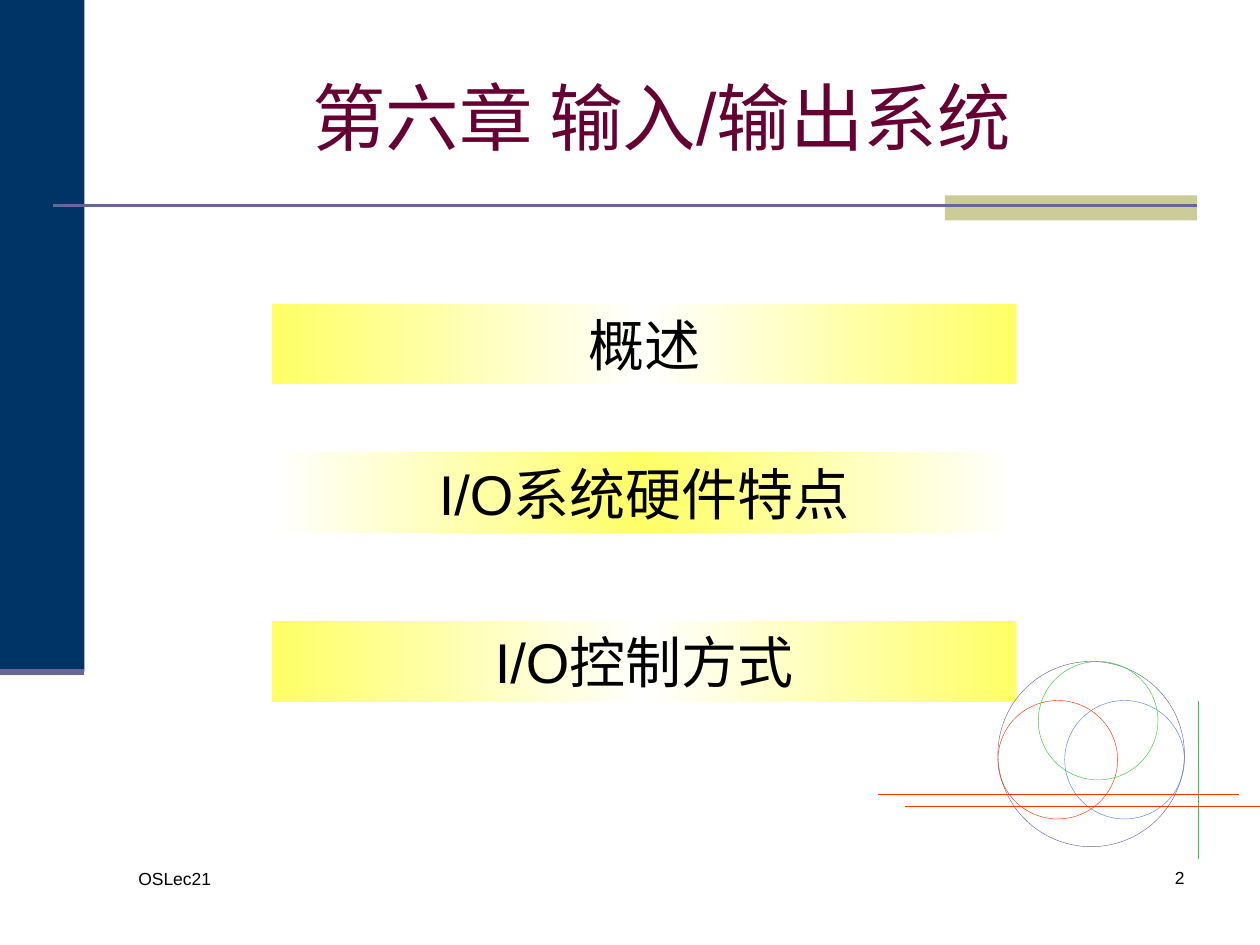
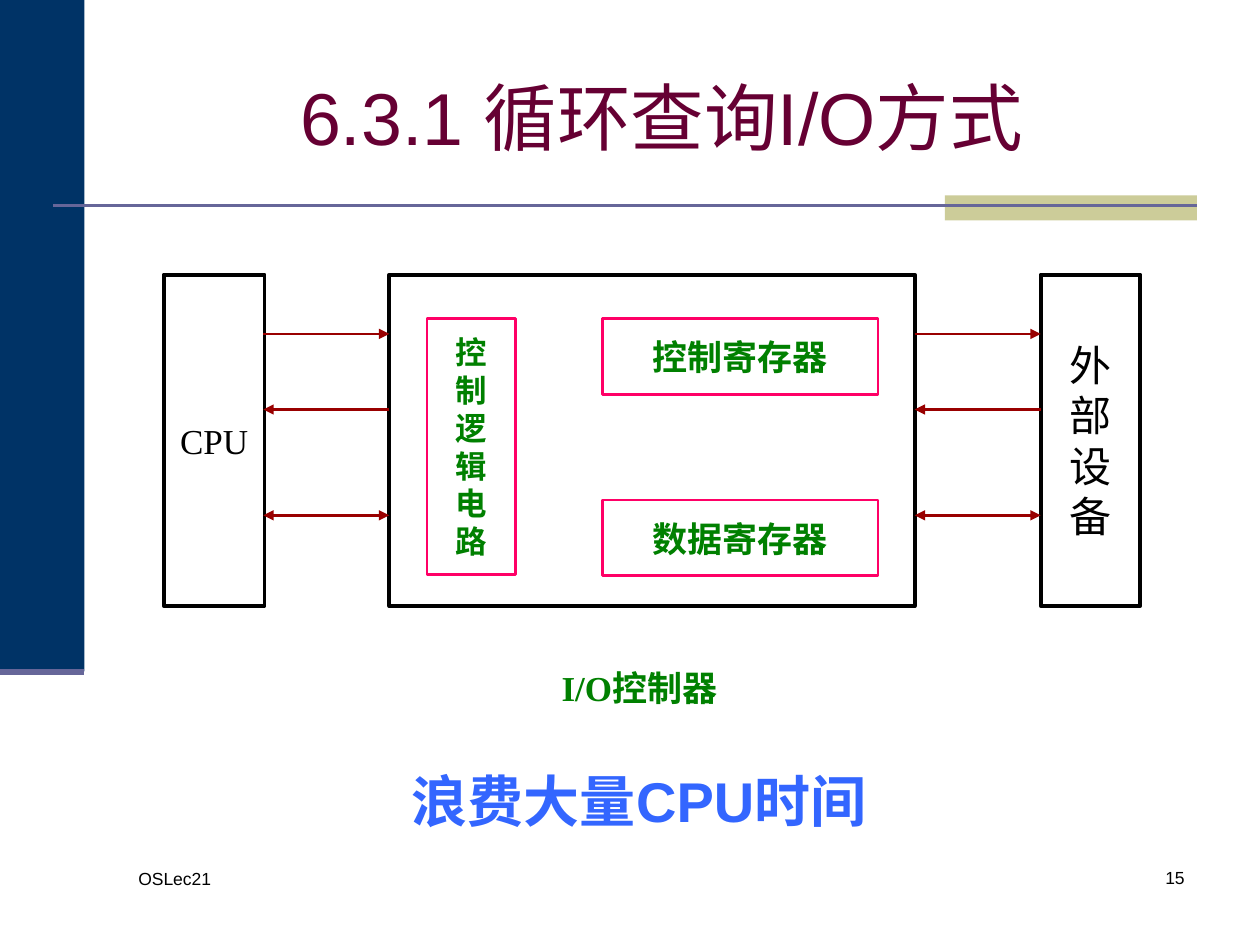
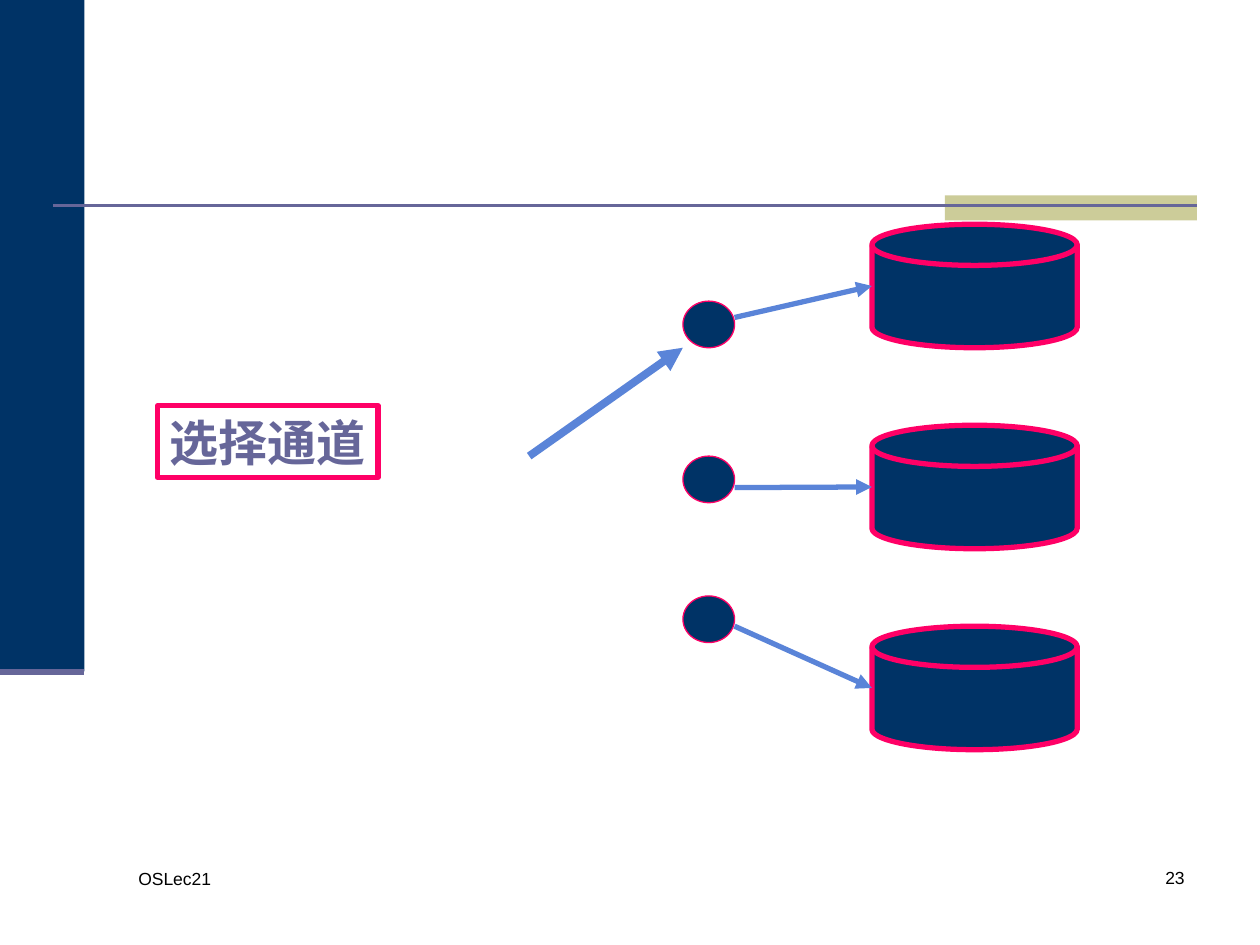
from copy import deepcopy
from lxml.etree import SubElement
from pptx import Presentation
from pptx.dml.color import RGBColor
from pptx.enum.dml import MSO_LINE
from pptx.enum.shapes import MSO_CONNECTOR, MSO_SHAPE
from pptx.enum.text import MSO_ANCHOR, PP_ALIGN
from pptx.oxml.ns import qn
from pptx.util import Inches, Pt

NAVY = RGBColor(0x00, 0x33, 0x66)
SLATE = RGBColor(0x66, 0x66, 0x99)
SAND = RGBColor(0xCC, 0xCC, 0x99)
WINE = RGBColor(0x66, 0x00, 0x33)
BLACK = RGBColor(0x00, 0x00, 0x00)
WHITE = RGBColor(0xFF, 0xFF, 0xFF)
YELLOW = RGBColor(0xFF, 0xFF, 0x66)
PINK = RGBColor(0xFF, 0x00, 0x66)
GREEN = RGBColor(0x00, 0x80, 0x00)
LIME = RGBColor(0x33, 0xCC, 0x33)
RED = RGBColor(0xFF, 0x33, 0x00)
BRICK = RGBColor(0x99, 0x00, 0x00)
SKY = RGBColor(0x5A, 0x84, 0xD8)
BLUE = RGBColor(0x33, 0x66, 0xFF)
SANS, SERIF, HAN = "Arial", "Times New Roman", "Noto Sans CJK SC"
LEFT, MID, RIGHT = PP_ALIGN.LEFT, PP_ALIGN.CENTER, PP_ALIGN.RIGHT
RECT, OVAL = MSO_SHAPE.RECTANGLE, MSO_SHAPE.OVAL

deck = Presentation()
deck.slide_width, deck.slide_height = Inches(10), Inches(7.5)
# Grid of 100 columns by 75 rows
COL, ROW = deck.slide_width / 100, deck.slide_height / 75


def box(slide, area, fill=None, edge=None, width=1, kind=RECT, text="",
        size=20, font=SANS, color=BLACK, bold=False, align=MID,
        anchor=MSO_ANCHOR.MIDDLE):
    x, y, w, h = area
    place = int(x * COL), int(y * ROW), int(w * COL), int(h * ROW)
    if fill is None and edge is None:
        shape = slide.shapes.add_textbox(*place)
    else:
        shape = slide.shapes.add_shape(kind, *place)
        shape.shadow.inherit = False
        for part, tint in ((shape.fill, fill), (shape.line.fill, edge)):
            if tint is None:
                part.background()
            else:
                part.solid()
                part.fore_color.rgb = tint
        if edge is not None:
            shape.line.width = Pt(width)
    if text:
        frame = shape.text_frame
        frame.word_wrap = True
        frame.vertical_anchor = anchor
        frame.text = text
        for para in frame.paragraphs:
            para.alignment = align
            para.font.size, para.font.bold = Pt(size), bold
            para.font.color.rgb = color
            para.font.name = font
            base = para._p.pPr.find(qn("a:defRPr"))
            SubElement(base, qn("a:ea"), typeface=HAN)
    return shape


def line(slide, start, end, color, width, heads=()):
    (x1, y1), (x2, y2) = start, end
    link = slide.shapes.add_connector(
        MSO_CONNECTOR.STRAIGHT,
        int(x1 * COL), int(y1 * ROW), int(x2 * COL), int(y2 * ROW))
    link.line.color.rgb = color
    link.line.width = Pt(width)
    for head in heads:
        SubElement(link.line._get_or_add_ln(), qn("a:" + head), type="triangle")
    SubElement(link._element.spPr, qn("a:effectLst"))
    return link


# Shared frame, title and footer
pages = []
for number, title in ((2, "第六章 输入/输出系统"),
                      (15, "6.3.1 循环查询I/O方式"), (23, "")):
    page = deck.slides.add_slide(deck.slide_layouts[6])
    box(page, (0, 0, 6.7, 53.3), NAVY)
    box(page, (75, 15.5, 20, 2), SAND)
    line(page, (4.2, 16.3), (95, 16.3), SLATE, 1.5)
    line(page, (0, 53.3), (6.7, 53.3), SLATE, 3.5)
    if title:
        box(page, (10, 3, 85, 12.5), text=title, size=42, color=WINE)
    box(page, (10, 68.4, 21.7, 5), text="OSLec21", size=10, align=LEFT,
        anchor=MSO_ANCHOR.TOP)
    box(page, (74.2, 68.3, 20.8, 5), text=str(number), size=10, align=RIGHT,
        anchor=MSO_ANCHOR.TOP)
    pages.append(page)
topics, query, channel = pages

# Topics: gradient bands
for top, text, side, core in ((24.1, "概述", YELLOW, WHITE),
                              (35.9, "I/O系统硬件特点", WHITE, YELLOW),
                              (49.3, "I/O控制方式", YELLOW, WHITE)):
    band = box(topics, (21.6, top, 59.1, 6.4), WHITE, text=text, size=32)
    band.fill.gradient()
    band.fill.gradient_angle = 0
    stops = band._element.spPr.find(qn("a:gradFill")).find(qn("a:gsLst"))
    stops.append(deepcopy(stops[-1]))
    for stop, spot, tint in zip(band.fill.gradient_stops, (0, 0.5, 1),
                                (side, core, side)):
        stop.position = spot
        stop.color.rgb = tint

# Topics: circles and rules in the corner
line(topics, (95.1, 55.6), (95.1, 68.2), LIME, 0.25)
box(topics, (79.2, 52.5, 14.8, 14.7), edge=SLATE, width=0.25, kind=OVAL)
for x, y, tint in ((79.2, 55.6, RED), (84.5, 55.6, SKY), (82.4, 52.5, LIME)):
    box(topics, (x, y, 9.5, 9.4), edge=tint, width=0.25, kind=OVAL)
dots = line(topics, (69.7, 63), (98.3, 63), RED, 0.25)
dots.line.dash_style = MSO_LINE.ROUND_DOT
line(topics, (71.8, 64), (100, 64), RED, 0.25)

# Query: outer blocks
for x, w, text, size in ((13, 8, "CPU", 20), (30.9, 41.7, "", 20),
                         (82.6, 7.9, "\n".join("外部设备"), 24)):
    box(query, (x, 21.8, w, 26.3), edge=BLACK, width=2.25, text=text,
        size=size, font=SERIF)

# Query: parts of the controller and its caption
for area, edge, text, size in (
        ((33.9, 25.3, 7, 20.3), PINK, "\n".join("控制逻辑电路"), 18),
        ((47.8, 25.3, 21.9, 6), PINK, "控制寄存器", 20),
        ((47.8, 39.7, 21.9, 6), PINK, "数据寄存器", 20),
        ((39.8, 51.6, 21.9, 6), None, "I/O控制器", 20)):
    box(query, area, edge=edge, width=1.5, text=text, size=size, font=SERIF,
        color=GREEN, bold=True)

# Query: arrows in both gaps
for x in (20.9, 72.6):
    for y, heads in ((26.5, ["tailEnd"]), (32.5, ["headEnd"]),
                     (40.9, ["headEnd", "tailEnd"])):
        line(query, (x, y), (x + 10, y), BRICK, 1.5, heads)

waste = box(query, (31.7, 60.3, 40.2, 6.4), text="浪费大量CPU时间", size=32,
            color=BLUE, bold=True, align=LEFT)
waste.text_frame.word_wrap = False

# Channel: label, nodes, disks and arrows
label = box(channel, (12.5, 32.2, 17.5, 5.7), edge=PINK, width=3,
            text="选择通道", size=28, font=SERIF, color=SLATE, bold=True,
            align=LEFT)
label.text_frame.word_wrap = False
for row, (node, start) in enumerate(((23.9, 25.2), (36.2, 38.7), (47.3, 49.7))):
    disk = 17.8 + 15.95 * row
    box(channel, (69.2, disk, 16.3, 9.8), NAVY, PINK, 3,
        MSO_SHAPE.FLOWCHART_MAGNETIC_DISK)
    box(channel, (54.2, node, 4.1, 3.7), NAVY, PINK, 0.75,
        MSO_SHAPE.FLOWCHART_CONNECTOR)
    line(channel, (58.3, start), (69.2, disk + 4.9), SKY, 3, ["tailEnd"])
line(channel, (42, 36.2), (54.2, 27.6), SKY, 4.5, ["tailEnd"])

deck.save("out.pptx")
